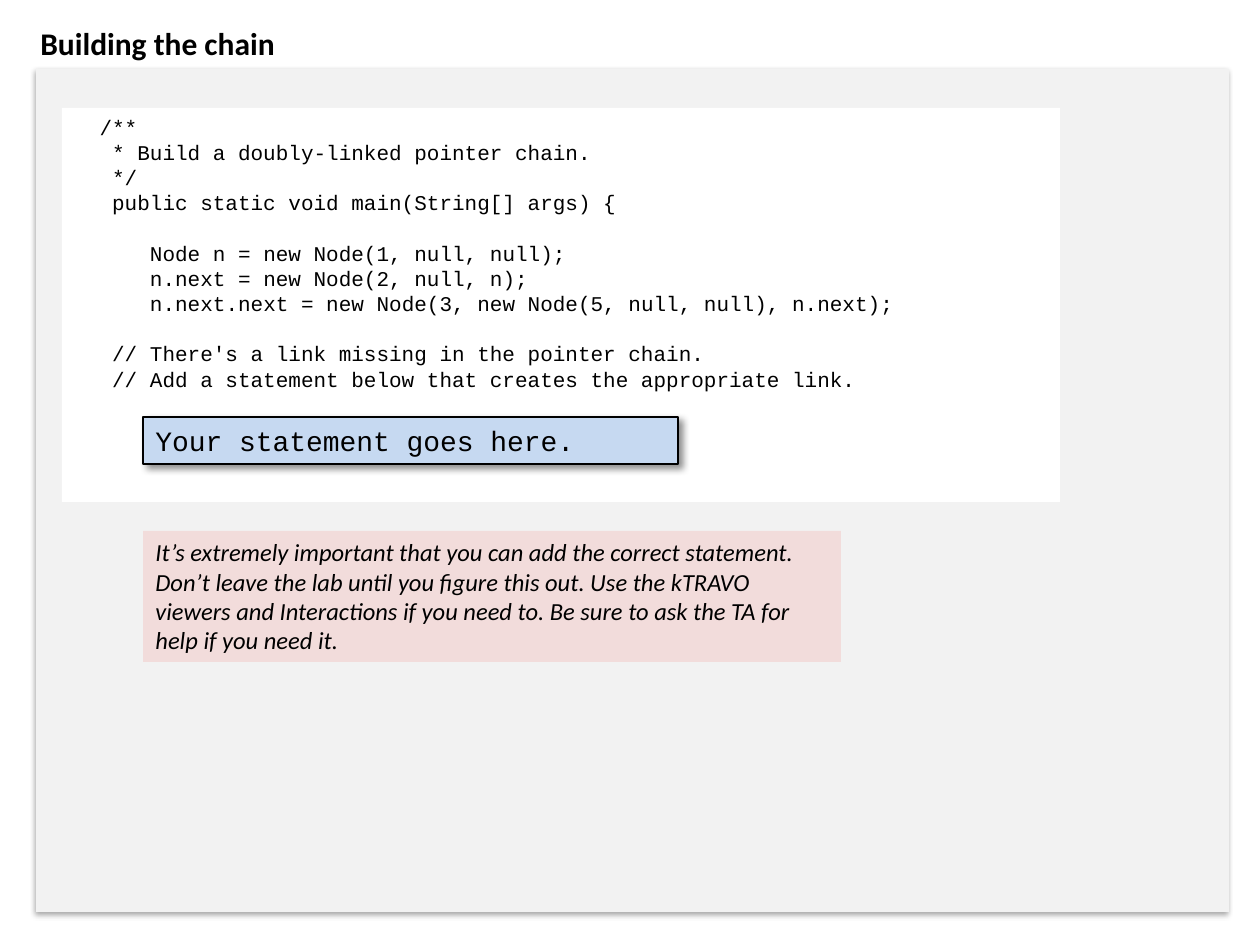
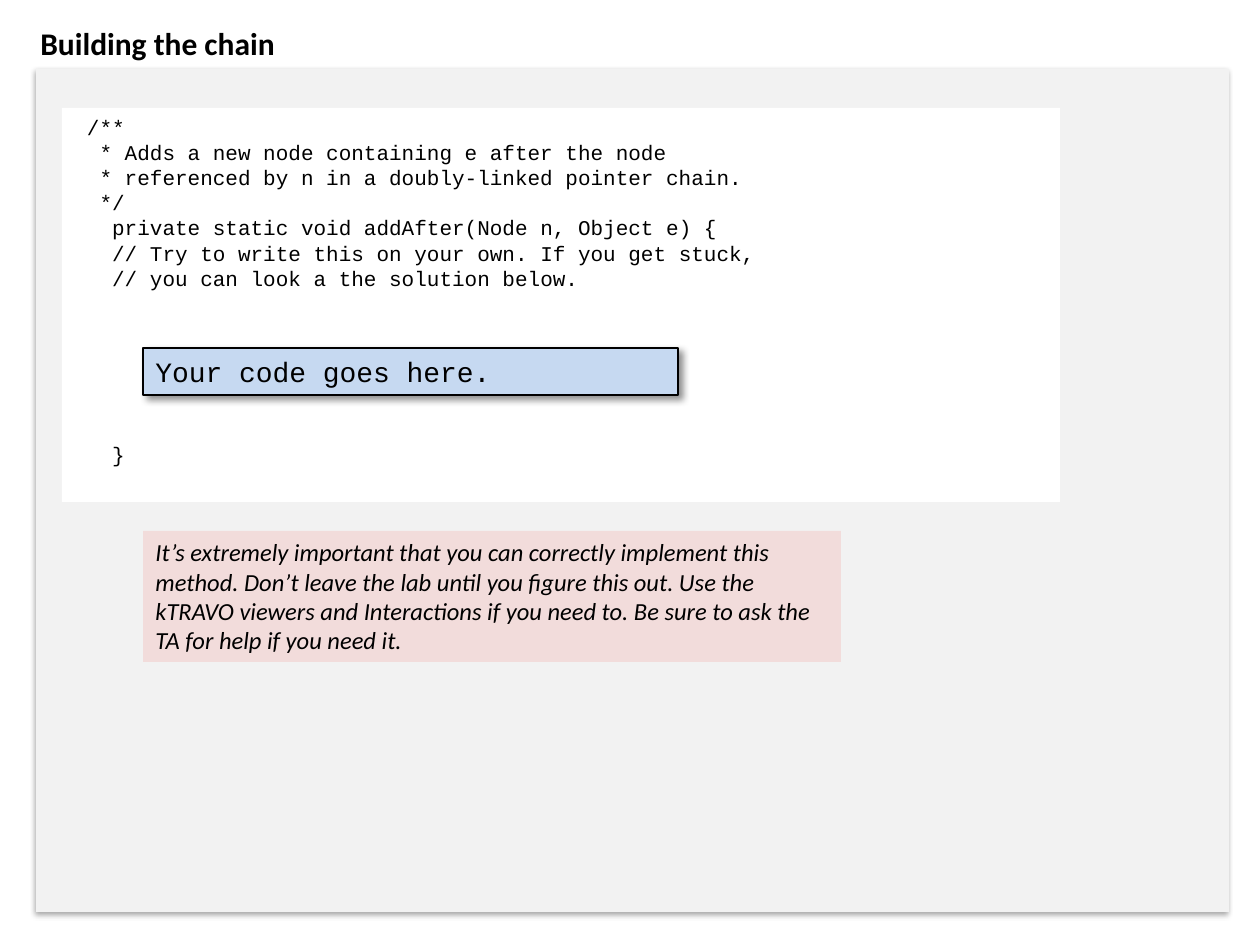
from lxml import etree
from pptx import Presentation
from pptx import util as u
from pptx.dml.color import RGBColor
from pptx.enum import shapes, text
from pptx.oxml.ns import qn

PIXEL = u.Inches(1) / 126
COLORS = {
    "ink": "000000",
    "panel": "F2F2F2",
    "code": "FFFFFF",
    "answer": "C6D9F1",
    "note": "F2DCDB",
}
SANS, MONO = "Calibri", "Courier New"
CODE_SIZE = 12
COLUMN = 0.6 * CODE_SIZE   # width of one code character, points
CODE_LINE = 1.2 * CODE_SIZE   # height of one code line, points

# Code lines: (indent in columns, empty lines above, text)
BUILD_CODE = [
    (2, 0, "/**"),
    (3, 0, "* Build a doubly-linked pointer chain."),
    (3, 0, "*/"),
    (3, 0, "public static void main(String[] args) {"),
    (6, 1, "Node n = new Node(1, null, null);"),
    (6, 0, "n.next = new Node(2, null, n);"),
    (6, 0, "n.next.next = new Node(3, new Node(5, null, null), n.next);"),
    (3, 1, "// There's a link missing in the pointer chain."),
    (3, 0, "// Add a statement below that creates the appropriate link."),
]
ADD_CODE = [
    (1, 0, "/**"),
    (2, 0, "* Adds a new node containing e after the node"),
    (2, 0, "* referenced by n in a doubly-linked pointer chain."),
    (2, 0, "*/"),
    (3, 0, "private static void addAfter(Node n, Object e) {"),
    (3, 0, "// Try to write this on your own. If you get stuck,"),
    (3, 0, "// you can look a the solution below."),
    (3, 6, "}"),
]
NOTE = ("It’s extremely important that you can {} Don’t leave the lab until "
        "you figure this out. Use the kTRAVO viewers and Interactions if you "
        "need to. Be sure to ask the TA for help if you need it.")


def px(*lengths):
    return [round(length * PIXEL) for length in lengths]


def color(name):
    return RGBColor.from_string(COLORS[name])


def add_shadow(box, alpha, blur, distance, angle):
    effects = box._element.spPr.find(qn("a:effectLst"))
    shadow = etree.SubElement(
        effects, qn("a:outerShdw"), blurRad=str(u.Pt(blur)),
        dist=str(u.Pt(distance)), dir=str(angle * 60000),
        algn="tl", rotWithShape="0")
    tint = etree.SubElement(shadow, qn("a:srgbClr"), val=COLORS["ink"])
    etree.SubElement(tint, qn("a:alpha"), val=str(alpha * 1000))


def add_box(page, place, fill, line=False, shadow=None):
    box = page.shapes.add_shape(shapes.MSO_SHAPE.RECTANGLE, *px(*place))
    box.shadow.inherit = False
    box.fill.solid()
    box.fill.fore_color.rgb = color(fill)
    if line:
        box.line.color.rgb = color("ink")
        box.line.width = u.Pt(0.75)
    else:
        box.line.fill.background()
    if shadow:
        add_shadow(box, *shadow)
    return box


def write(box, lines, size, font=SANS, bold=False, italic=False, wrap=True):
    """Fill a box with (indent, gap, text) lines, or with one plain string."""
    if isinstance(lines, str):
        lines = [(0, 0, lines)]
    frame = box.text_frame
    frame.word_wrap = wrap
    frame.vertical_anchor = text.MSO_ANCHOR.TOP
    for number, (indent, gap, words) in enumerate(lines):
        para = frame.add_paragraph() if number else frame.paragraphs[0]
        para.alignment = text.PP_ALIGN.LEFT
        if indent:
            para._p.get_or_add_pPr().set("marL", str(u.Pt(indent * COLUMN)))
        if gap:
            para.space_before = u.Pt(gap * CODE_LINE)
        span = para.add_run()
        span.text = words
        span.font.name = font
        span.font.size = u.Pt(size)
        span.font.bold = bold
        span.font.italic = italic
        span.font.color.rgb = color("ink")


def add_exercise(deck, code, answer, answer_top, task):
    page = deck.slides.add_slide(deck.slide_layouts[6])
    # Panel and title
    add_box(page, (36, 69, 1193, 843), "panel", shadow=(35, 3.1, 1.8, 90))
    title = page.shapes.add_textbox(*px(28, 18, 262, 50))
    write(title, "Building the chain", 18, bold=True, wrap=False)
    # Code listing with the place for the answer
    listing = add_box(page, (62, 108, 998, 394), "code")
    write(listing, code, CODE_SIZE, font=MONO)
    field = add_box(page, (143, answer_top, 535, 47), "answer", line=True,
                    shadow=(43, 4, 3, 45))
    write(field, answer, 16, font=MONO)
    # Advice
    note = add_box(page, (143, 531, 698, 131), "note")
    write(note, NOTE.format(task), 14, italic=True)


def main():
    deck = Presentation()
    deck.slide_width, deck.slide_height = u.Inches(10), u.Inches(7.5)
    add_exercise(deck, BUILD_CODE, "Your statement goes here.", 417,
                 "add the correct statement.")
    add_exercise(deck, ADD_CODE, "Your code goes here.", 348,
                 "correctly implement this method.")
    deck.save("out.pptx")


main()
